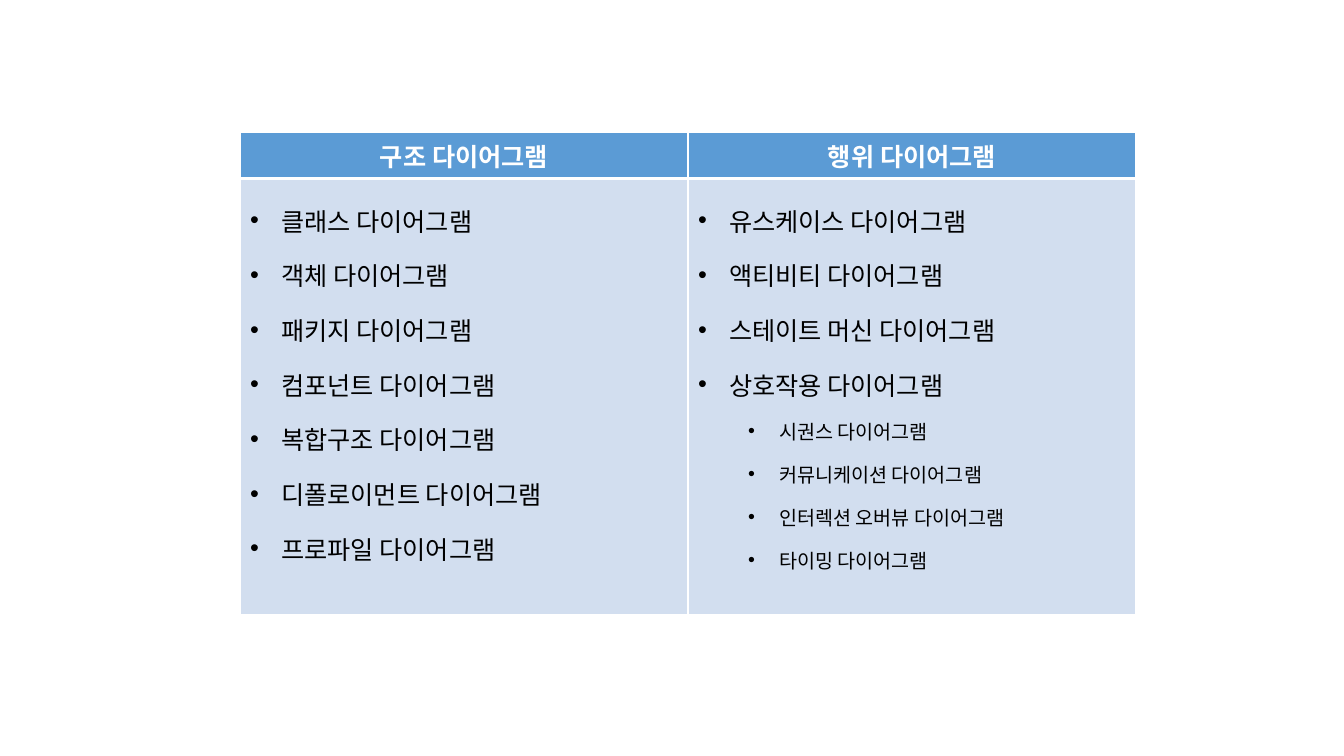
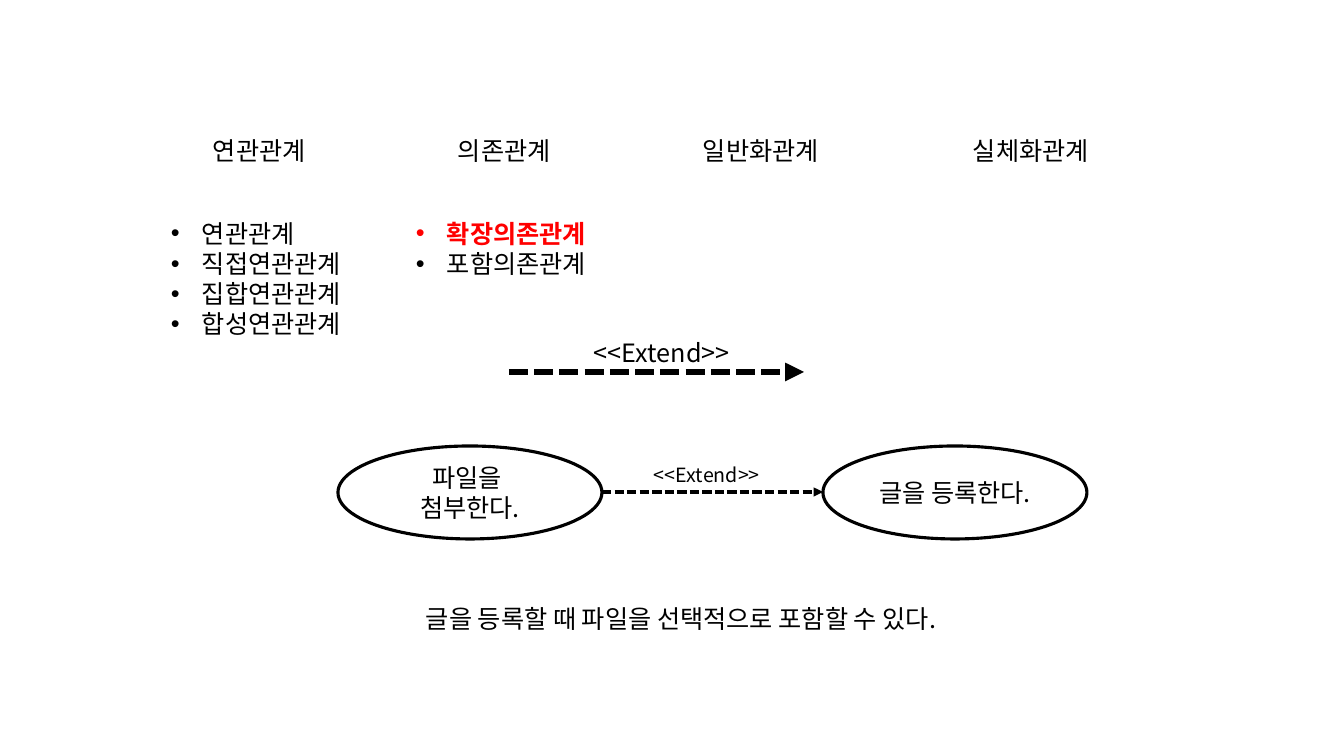
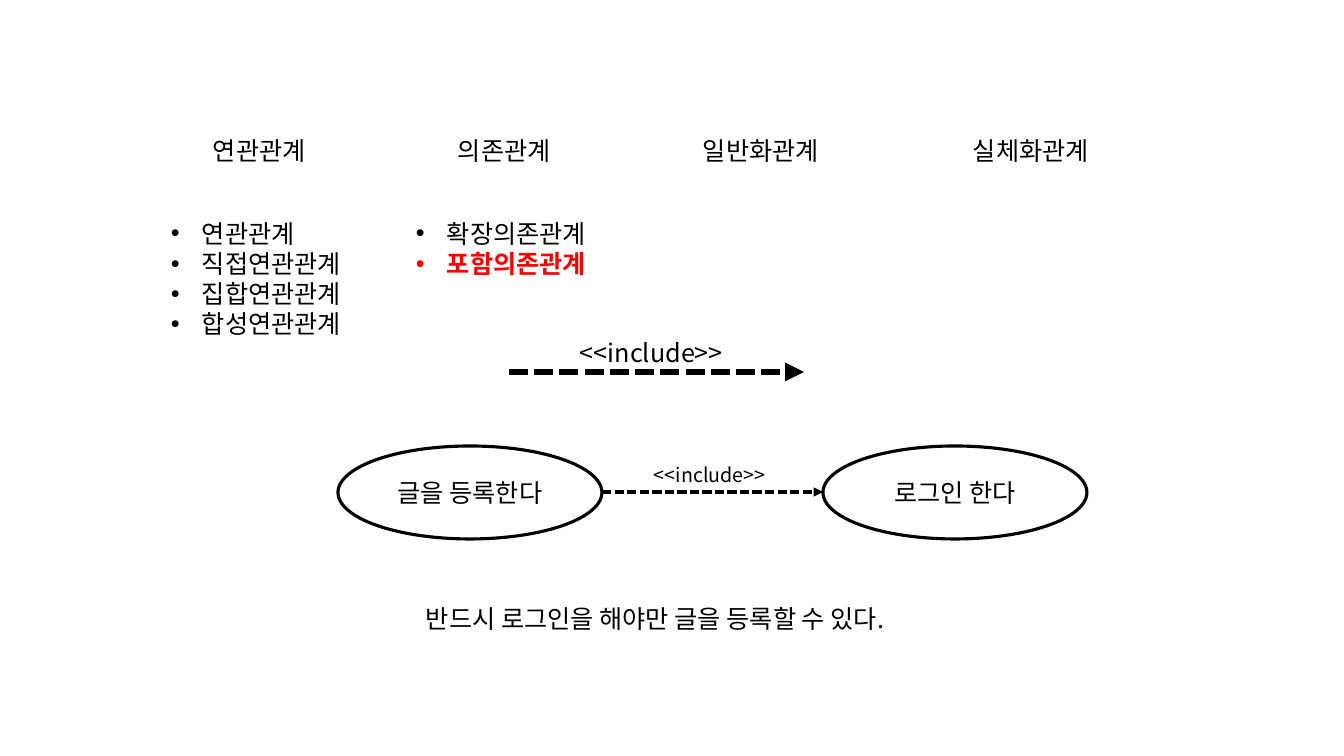
from lxml import etree
from pptx import Presentation
from pptx.dml.color import RGBColor
from pptx.enum.dml import MSO_LINE
from pptx.enum.shapes import MSO_CONNECTOR, MSO_SHAPE
from pptx.enum.text import MSO_ANCHOR, MSO_AUTO_SIZE, PP_ALIGN
from pptx.oxml.ns import qn
from pptx.util import Emu, Pt

STRAIGHT = MSO_CONNECTOR.STRAIGHT
OVAL = MSO_SHAPE.OVAL
DASH = MSO_LINE.SQUARE_DOT
MIDDLE = MSO_ANCHOR.MIDDLE
FIT_TEXT = MSO_AUTO_SIZE.SHAPE_TO_FIT_TEXT
LEFT, CENTER = PP_ALIGN.LEFT, PP_ALIGN.CENTER

BLACK = RGBColor(0x00, 0x00, 0x00)
WHITE = RGBColor(0xFF, 0xFF, 0xFF)
RED = RGBColor(0xFF, 0x00, 0x00)
HEADER_BLUE = RGBColor(0x5B, 0x9B, 0xD5)
BODY_BLUE = RGBColor(0xD2, 0xDE, 0xEF)

FONT = "Noto Sans CJK KR"
PIXEL = 914400 / 100.8
BULLET_GAP = 31

# Each style: font values, colour, paragraph values, left edge of bulleted text
PLAIN_FONT = {"size": Pt(18), "bold": False, "name": FONT}
BOLD_FONT = {**PLAIN_FONT, "bold": True}
SMALL_FONT = {**PLAIN_FONT, "size": Pt(14)}
STYLES = {
    "plain": (PLAIN_FONT, BLACK, {"alignment": LEFT}, None),
    "small": (SMALL_FONT, BLACK, {"alignment": LEFT}, None),
    "centered": (PLAIN_FONT, BLACK, {"alignment": CENTER}, None),
    "header": (BOLD_FONT, WHITE, {"alignment": CENTER}, None),
    "bullet": (PLAIN_FONT, BLACK, {"alignment": LEFT}, 31),
    "marked": (BOLD_FONT, RED, {"alignment": LEFT}, 31),
    "item": (PLAIN_FONT, BLACK, {"line_spacing": 1.5}, 31),
    "subitem": (SMALL_FONT, BLACK, {"line_spacing": 1.5, "level": 1}, 81),
}


def write_lines(text_frame, lines):
    """Write (text, style name) pairs as the paragraphs of a text frame."""
    for index, (text, style) in enumerate(lines):
        font_values, color, paragraph_values, indent = STYLES[style]
        paragraph = text_frame.add_paragraph() if index else text_frame.paragraphs[0]
        for name, value in paragraph_values.items():
            setattr(paragraph, name, value)
        run = paragraph.add_run()
        run.text = text
        for name, value in font_values.items():
            setattr(run.font, name, value)
        run.font.color.rgb = color
        etree.SubElement(run.font._element, qn("a:ea"), typeface=FONT)
        if indent:
            properties = paragraph._p.get_or_add_pPr()
            properties.set("marL", str(round(indent * PIXEL)))
            properties.set("indent", str(round(-BULLET_GAP * PIXEL)))
            etree.SubElement(properties, qn("a:buFont"), typeface="Arial")
            etree.SubElement(properties, qn("a:buChar"), char="•")


def to_emu(*pixels):
    """Turn pixel lengths into EMU."""
    return [Emu(round(pixel * PIXEL)) for pixel in pixels]


presentation = Presentation()
presentation.slide_width, presentation.slide_height = to_emu(1344, 756)
blank_layout = presentation.slide_layouts[6]

# Slide 1: the two families of diagrams
slide = presentation.slides.add_slide(blank_layout)
structure = ["클래스", "객체", "패키지", "컴포넌트", "복합구조", "디폴로이먼트", "프로파일"]
behavior = ["유스케이스", "액티비티", "스테이트 머신", "상호작용"]
interaction = ["시권스", "커뮤니케이션", "인터렉션 오버뷰", "타이밍"]
table_rows = [
    [[("구조", "header")], [("행위", "header")]],
    [
        [(name, "item") for name in structure],
        [(name, "item") for name in behavior] + [(name, "subitem") for name in interaction],
    ],
]
table = slide.shapes.add_table(2, 2, *to_emu(240, 132, 896, 482)).table
table.horz_banding = False
table.rows[0].height, table.rows[1].height = to_emu(46, 436)
for row_index, row in enumerate(table_rows):
    for column_index, names in enumerate(row):
        cell = table.cell(row_index, column_index)
        write_lines(cell.text_frame, [(f"{name} 다이어그램", style) for name, style in names])
        borders = {"lnL": 1, "lnR": 1, "lnT": 3 if row_index else 1, "lnB": 1 if row_index else 3}
        for tag, width in borders.items():
            border = etree.SubElement(cell._tc.get_or_add_tcPr(), qn(f"a:{tag}"), w=str(Pt(width)))
            border_fill = etree.SubElement(border, qn("a:solidFill"))
            etree.SubElement(border_fill, qn("a:srgbClr"), val=str(WHITE))
        cell.fill.solid()
        cell.fill.fore_color.rgb = BODY_BLUE if row_index else HEADER_BLUE
        if row_index == 0:
            cell.vertical_anchor = MIDDLE

# Slides 2 and 3: one dependency each, with the same frame
relations = [("연관관계", 203, 122), ("의존관계", 448, 122),
             ("일반화관계", 693, 147), ("실체화관계", 963, 147)]
associations = ["연관관계", "직접연관관계", "집합연관관계", "합성연관관계"]
dependencies = ["확장의존관계", "포함의존관계"]
arrows = [(509, 804, 372, 4.5), (602, 823, 492, 2.25)]
dependency_slides = [
    {
        "marked": "확장의존관계",
        "keyword": "<<Extend>>", "keyword_box": (584, 332, 169, 40), "small_box": (644, 458, 136, 34),
        "source": ["파일을 ", "첨부한다."], "target": ["글을 등록한다."],
        "caption": "글을 등록할 때 파일을 선택적으로 포함할 수 있다.", "caption_width": 593,
    },
    {
        "marked": "포함의존관계",
        "keyword": "<<include>>", "keyword_box": (570, 332, 174, 40), "small_box": (644, 458, 140, 34),
        "source": ["글을 등록한다"], "target": ["로그인 한다"],
        "caption": "반드시 로그인을 해야만 글을 등록할 수 있다.", "caption_width": 538,
    },
]

for content in dependency_slides:
    slide = presentation.slides.add_slide(blank_layout)

    labels = [((left, 130, width, 40), [(name, "plain")]) for name, left, width in relations]
    labels += [
        ((161, 213, 205, 132), [(name, "bullet") for name in associations]),
        ((406, 213, 205, 72),
         [(name, "marked" if name == content["marked"] else "bullet") for name in dependencies]),
        ((416, 598, content["caption_width"], 40), [(content["caption"], "plain")]),
        (content["keyword_box"], [(content["keyword"], "plain")]),
        (content["small_box"], [(content["keyword"], "small")]),
    ]
    for box, lines in labels:
        text_frame = slide.shapes.add_textbox(*to_emu(*box)).text_frame
        text_frame.word_wrap = False
        text_frame.auto_size = FIT_TEXT
        write_lines(text_frame, lines)

    for left, role in [(338, "source"), (823, "target")]:
        use_case = slide.shapes.add_shape(OVAL, *to_emu(left, 446, 264, 93))
        use_case.shadow.inherit = False
        use_case.fill.background()
        use_case.line.color.rgb = BLACK
        use_case.line.width = Pt(2.25)
        use_case.text_frame.vertical_anchor = MIDDLE
        write_lines(use_case.text_frame, [(text, "centered") for text in content[role]])

    for start, end, height, weight in arrows:
        arrow = slide.shapes.add_connector(STRAIGHT, *to_emu(start, height, end, height))
        arrow.line.color.rgb = BLACK
        arrow.line.width = Pt(weight)
        arrow.line.dash_style = DASH
        etree.SubElement(arrow.line._get_or_add_ln(), qn("a:tailEnd"), type="triangle")
        etree.SubElement(arrow._element.spPr, qn("a:effectLst"))

presentation.save("out.pptx")
